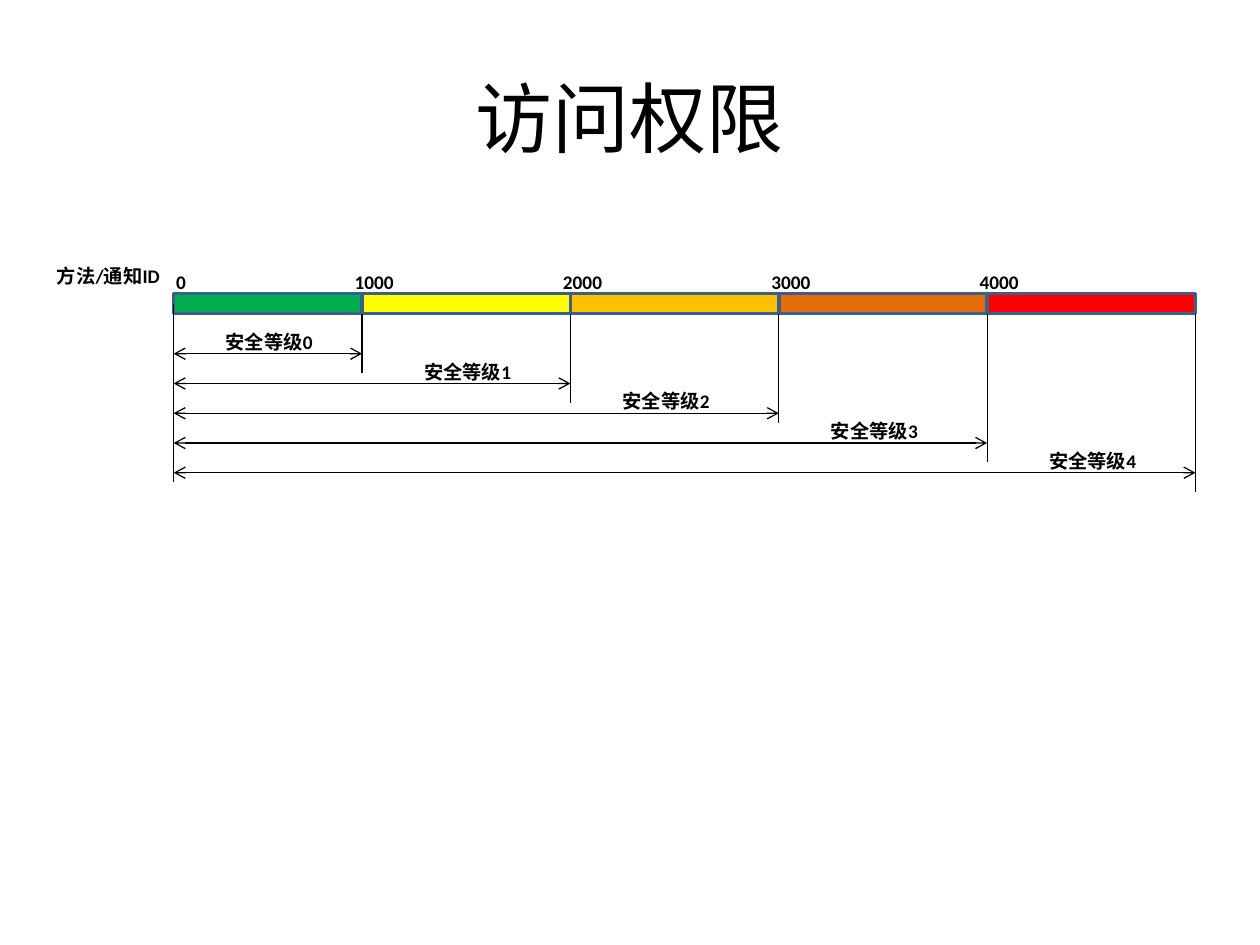
"""Build the access rights slide: an ID scale with the range of each security level."""
import pptx
import pptx.dml.color
import pptx.enum.shapes
import pptx.enum.text
import pptx.oxml
import pptx.oxml.ns
import pptx.util

Cm, Pt = pptx.util.Cm, pptx.util.Pt
RGBColor = pptx.dml.color.RGBColor

BLACK = RGBColor(0x00, 0x00, 0x00)
BORDER = RGBColor(0x3A, 0x5F, 0x8C)
GREEN = RGBColor(0x00, 0xB0, 0x50)
YELLOW = RGBColor(0xFF, 0xFF, 0x00)
AMBER = RGBColor(0xFF, 0xC0, 0x00)
ORANGE = RGBColor(0xE4, 0x6C, 0x0A)
RED = RGBColor(0xFF, 0x00, 0x00)

TITLE = "访问权限"
AXIS_LABEL = "方法/通知ID"
LEVELS = [
    {"start": "0", "label": "安全等级0", "color": GREEN, "label_left": 4.3, "drop_end": 7.52},
    {"start": "1000", "label": "安全等级1", "color": YELLOW, "label_left": 8.3, "drop_end": 8.12},
    {"start": "2000", "label": "安全等级2", "color": AMBER, "label_left": 12.3, "drop_end": 8.52},
    {"start": "3000", "label": "安全等级3", "color": ORANGE, "label_left": 16.5, "drop_end": 9.32},
    {"start": "4000", "label": "安全等级4", "color": RED, "label_left": 20.9, "drop_end": 9.92},
]

SCALE_LEFT, FIRST_WIDTH, BAND_WIDTH = 3.5, 3.8, 4.2
BAR_TOP, BAR_HEIGHT = 5.92, 0.4
ARROW_TOP, ARROW_STEP = 7.13, 0.6
ORIGIN_LINE = (6.12, 9.72)
TEXT_HEIGHT = 0.73
LABEL_FONT = {"name": "Calibri", "size": Pt(11), "bold": True}
TITLE_FONT = {"name": "Calibri", "size": Pt(44)}


def format_font(font, values):
    for name, value in values.items():
        setattr(font, name, value)
    font.color.rgb = BLACK


def add_label(page, text, left, top, width, wrap=False):
    box = page.shapes.add_textbox(Cm(left), Cm(top), Cm(width), Cm(TEXT_HEIGHT))
    box.text_frame.word_wrap = wrap
    span = box.text_frame.paragraphs[0].add_run()
    span.text = text
    format_font(span.font, LABEL_FONT)


def add_line(page, start, end, arrows=False):
    line = page.shapes.add_connector(
        pptx.enum.shapes.MSO_CONNECTOR.STRAIGHT, *map(Cm, start + end)
    )
    line.line.color.rgb = BLACK
    line.line.width = Pt(0.75)
    properties = line.element.spPr
    if arrows:
        outline = properties.find(pptx.oxml.ns.qn("a:ln"))
        for tag in ("a:headEnd", "a:tailEnd"):
            tip = pptx.oxml.xmlchemy.OxmlElement(tag)
            tip.set("type", "arrow")
            outline.append(tip)
    properties.append(pptx.oxml.xmlchemy.OxmlElement("a:effectLst"))


def add_band(page, left, right, color):
    band = page.shapes.add_shape(
        pptx.enum.shapes.MSO_SHAPE.RECTANGLE,
        Cm(left), Cm(BAR_TOP), Cm(right - left), Cm(BAR_HEIGHT),
    )
    band.shadow.inherit = False
    band.fill.solid()
    band.fill.fore_color.rgb = color
    band.line.color.rgb = BORDER
    band.line.width = Pt(2)


def add_title(page):
    title = page.shapes.title
    place = {"left": Cm(1.27), "top": Cm(0.76), "width": Cm(22.86), "height": Cm(3.18)}
    for name, value in place.items():
        setattr(title, name, value)
    title.text_frame.vertical_anchor = pptx.enum.text.MSO_ANCHOR.MIDDLE
    paragraph = title.text_frame.paragraphs[0]
    paragraph.alignment = pptx.enum.text.PP_ALIGN.CENTER
    span = paragraph.add_run()
    span.text = TITLE
    format_font(span.font, TITLE_FONT)


def main():
    deck = pptx.Presentation()
    deck.slide_width, deck.slide_height = Cm(25.4), Cm(19.05)
    page = deck.slides.add_slide(deck.slide_layouts[5])
    add_title(page)

    edges = [SCALE_LEFT] + [
        SCALE_LEFT + FIRST_WIDTH + BAND_WIDTH * index for index in range(len(LEVELS))
    ]
    for level, left, right in zip(LEVELS, edges, edges[1:]):
        add_band(page, left, right, level["color"])

    add_line(page, (SCALE_LEFT, ORIGIN_LINE[0]), (SCALE_LEFT, ORIGIN_LINE[1]))
    add_label(page, AXIS_LABEL, 0.9, 5.2, 2.6, wrap=True)
    for index, level in enumerate(LEVELS):
        left, right = edges[index], edges[index + 1]
        arrow_y = ARROW_TOP + ARROW_STEP * index
        add_line(page, (right, BAR_TOP + BAR_HEIGHT), (right, level["drop_end"]))
        add_line(page, (SCALE_LEFT, arrow_y), (right, arrow_y), arrows=True)
        add_label(page, level["label"], level["label_left"], arrow_y - ARROW_STEP, 2.4)
        add_label(page, level["start"], left - (0.4 if index else 0.2), 5.33, 1.6, wrap=True)

    deck.save("out.pptx")


if __name__ == "__main__":
    main()
